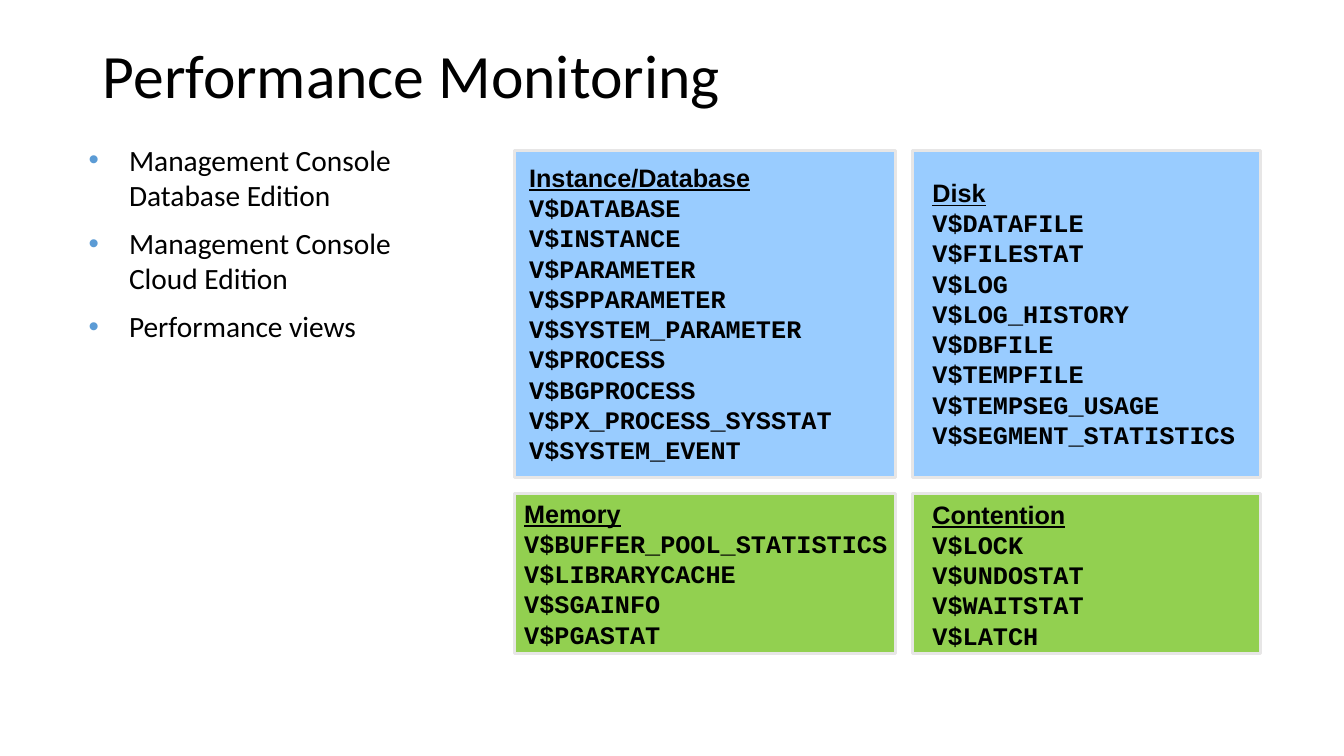
from dataclasses import dataclass
from typing import Optional

from lxml import etree
from pptx import Presentation
from pptx import util as u
from pptx.dml.color import RGBColor
from pptx.enum import shapes, text
from pptx.oxml import ns

COLORS = {
    "text": "000000",
    "bullet": "5B9BD5",
    "border": "E7E6E6",
    "blue": "99CCFF",
    "green": "92D050",
}
COLUMNS = {"left": (5.1, 3.78), "right": (9.05, 3.45)}
ROWS = {"blue": (1.49, 3.25), "green": (4.9, 1.58)}

TITLE = "Performance Monitoring"
TOOLS = [
    "Management Console Database Edition",
    "Management Console Cloud Edition",
    "Performance views",
]


@dataclass
class TextArea:
    left: float
    top: float
    width: float
    height: float


@dataclass
class Panel:
    heading: str
    views: list[str]
    column: str
    row: str
    area: Optional[TextArea] = None


PANELS = [
    Panel("Instance/Database",
          ["V$DATABASE", "V$INSTANCE", "V$PARAMETER", "V$SPPARAMETER",
           "V$SYSTEM_PARAMETER", "V$PROCESS", "V$BGPROCESS",
           "V$PX_PROCESS_SYSSTAT", "V$SYSTEM_EVENT"],
          "left", "blue", TextArea(5.15, 1.56, 3.67, 3.1)),
    Panel("Disk",
          ["V$DATAFILE", "V$FILESTAT", "V$LOG", "V$LOG_HISTORY", "V$DBFILE",
           "V$TEMPFILE", "V$TEMPSEG_USAGE", "V$SEGMENT_STATISTICS"],
          "right", "blue", TextArea(9.15, 1.71, 3.25, 2.8)),
    Panel("Contention",
          ["V$LOCK", "V$UNDOSTAT", "V$WAITSTAT", "V$LATCH"],
          "right", "green", TextArea(9.15, 4.9, 3.25, 1.6)),
    Panel("Memory",
          ["V$BUFFER_POOL_STATISTICS", "V$LIBRARYCACHE", "V$SGAINFO",
           "V$PGASTAT"],
          "left", "green"),
]


def rgb(name: str) -> RGBColor:
    return RGBColor.from_string(COLORS[name])


def place(shape, left: float, top: float, width: float, height: float) -> None:
    shape.left, shape.top = u.Inches(left), u.Inches(top)
    shape.width, shape.height = u.Inches(width), u.Inches(height)


def style(para, font_name: str, size: float, bold: bool = False) -> None:
    for span in para.runs:
        span.font.name = font_name
        span.font.size = u.Pt(size)
        span.font.bold = bold
        span.font.color.rgb = rgb("text")


def add_bullet(para) -> None:
    props = para._p.get_or_add_pPr()
    props.set("marL", str(u.Inches(0.5)))
    props.set("indent", str(u.Inches(-0.4)))
    color = etree.SubElement(props, ns.qn("a:buClr"))
    etree.SubElement(color, ns.qn("a:srgbClr"), val=COLORS["bullet"])
    etree.SubElement(props, ns.qn("a:buFont"), typeface="Arial")
    etree.SubElement(props, ns.qn("a:buChar"), char="•")


def fill_title(title) -> None:
    place(title, 0.92, 0.4, 11.5, 1.45)
    frame = title.text_frame
    frame.text = TITLE
    frame.vertical_anchor = text.MSO_ANCHOR.TOP
    para = frame.paragraphs[0]
    para.alignment = text.PP_ALIGN.LEFT
    para.line_spacing = 0.9
    style(para, "Calibri", 44)


def fill_tools(body) -> None:
    place(body, 0.68, 1.36, 3.68, 2.2)
    frame = body.text_frame
    frame.text = "\n".join(TOOLS)
    for index, para in enumerate(frame.paragraphs):
        add_bullet(para)
        para.space_before = u.Pt(9 if index else 0)
        style(para, "Calibri", 21)


def add_panel(page, panel: Panel) -> None:
    """Draw the rectangle; its text goes in a separate box if an area is set."""
    left, width = COLUMNS[panel.column]
    top, height = ROWS[panel.row]
    box = page.shapes.add_shape(
        shapes.MSO_SHAPE.RECTANGLE, u.Inches(left), u.Inches(top),
        u.Inches(width), u.Inches(height))
    box.shadow.inherit = False
    box.fill.solid()
    box.fill.fore_color.rgb = rgb(panel.row)
    box.line.color.rgb = rgb("border")
    box.line.width = u.Pt(2.25)

    if panel.area:
        area = panel.area
        box = page.shapes.add_textbox(
            u.Inches(area.left), u.Inches(area.top),
            u.Inches(area.width), u.Inches(area.height))
    frame = box.text_frame
    frame.word_wrap = panel.area is not None
    frame.text = "\n".join([panel.heading, *panel.views])
    for index, para in enumerate(frame.paragraphs):
        para.alignment = text.PP_ALIGN.LEFT
        style(para, "Courier New" if index else "Arial", 18, bold=True)
    frame.paragraphs[0].runs[0].font.underline = True


def main() -> None:
    deck = Presentation()
    deck.slide_width, deck.slide_height = u.Inches(13.33), u.Inches(7.5)
    page = deck.slides.add_slide(deck.slide_layouts[1])
    fill_title(page.shapes.title)
    fill_tools(page.placeholders[1])
    for panel in PANELS:
        add_panel(page, panel)
    deck.save("out.pptx")


if __name__ == "__main__":
    main()
